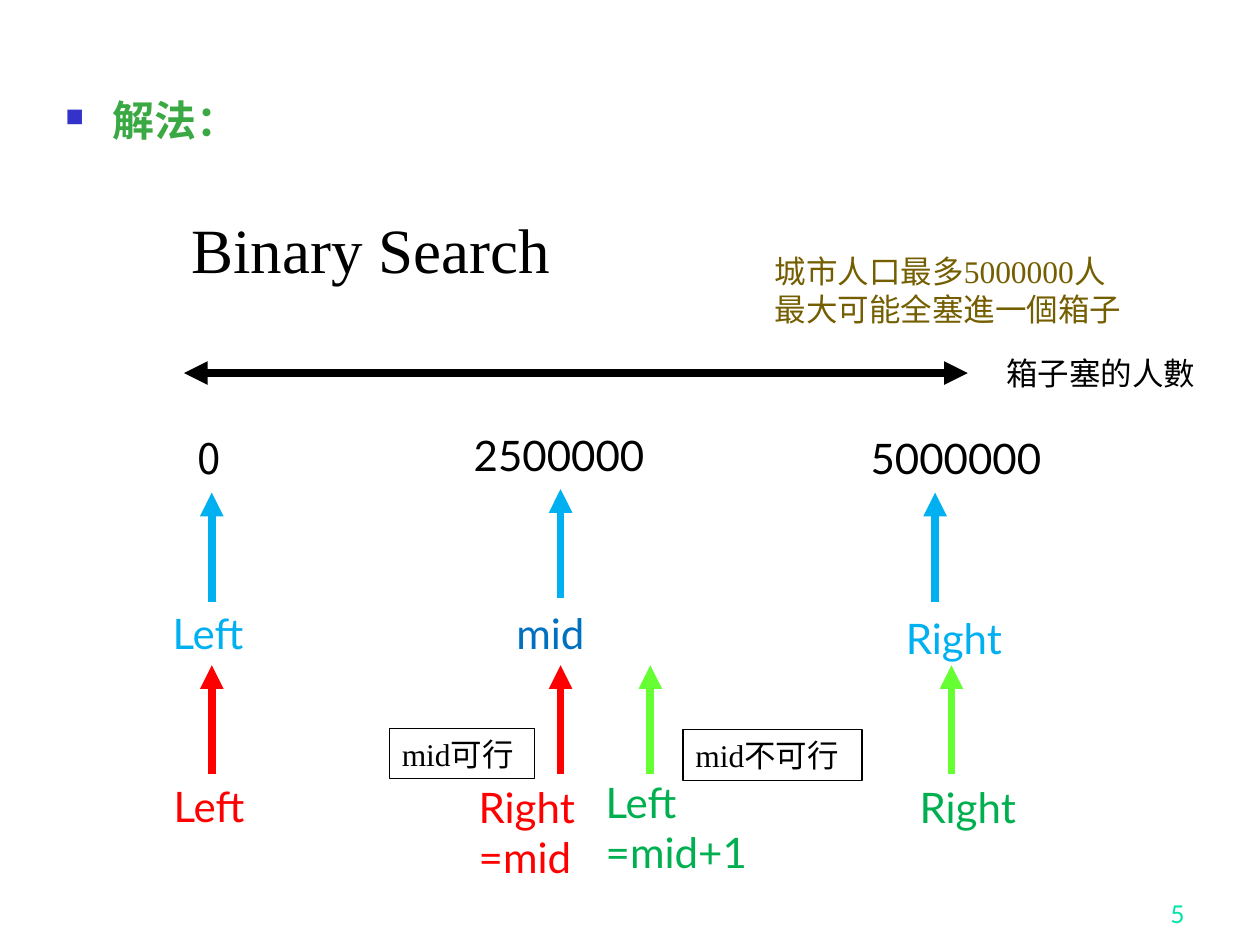
from lxml import etree
from pptx import Presentation
from pptx import util as u
from pptx.dml.color import RGBColor
from pptx.enum import shapes, text
from pptx.oxml import ns

BLACK = RGBColor(0x00, 0x00, 0x00)
SKY = RGBColor(0x00, 0xB0, 0xF0)
BLUE = RGBColor(0x00, 0x70, 0xC0)
RED = RGBColor(0xFF, 0x00, 0x00)
LIME = RGBColor(0x66, 0xFF, 0x33)
GREEN = RGBColor(0x00, 0xB0, 0x50)
LEAF = RGBColor(0x3B, 0xA9, 0x43)
OLIVE = RGBColor(0x74, 0x5E, 0x00)
MINT = RGBColor(0x00, 0xE4, 0xA8)
BULLET = RGBColor(0x33, 0x33, 0xCC)

SERIF = "Times New Roman"
SANS = "Lato"
CJK = "Noto Sans CJK SC"


def add_element(parent, tag, **attributes):
    return etree.SubElement(parent, ns.qn(tag), attributes)


class SlideBuilder:
    def __init__(self, slide):
        self.slide = slide

    def set_text(self, shape, content, size, color, font, bold=False):
        frame = shape.text_frame
        frame.word_wrap = True
        frame.auto_size = text.MSO_AUTO_SIZE.SHAPE_TO_FIT_TEXT
        frame.text = content
        for para in frame.paragraphs:
            para.alignment = text.PP_ALIGN.LEFT
            for span in para.runs:
                span.font.name = font
                span.font.size = u.Pt(size)
                span.font.bold = bold
                span.font.color.rgb = color
                add_element(span._r.get_or_add_rPr(), "a:ea", typeface=CJK)
        return shape

    def label(self, content, left, top, width, height=1.27, size=24,
              color=BLACK, font=SANS, bold=False):
        box = self.slide.shapes.add_textbox(
            u.Cm(left), u.Cm(top), u.Cm(width), u.Cm(height))
        return self.set_text(box, content, size, color, font, bold)

    def bullet(self, content, left, top, width):
        box = self.label(content, left, top, width, color=LEAF, font=SERIF, bold=True)
        para = box.text_frame.paragraphs[0]
        props = para._p.get_or_add_pPr()
        props.set("marL", str(u.Cm(0.95)))
        props.set("indent", str(u.Cm(-0.95)))
        tint = add_element(props, "a:buClr")
        add_element(tint, "a:srgbClr", val=str(BULLET))
        add_element(props, "a:buSzPct", val="60000")
        add_element(props, "a:buChar", char="■")
        para.line_spacing = 0.9

    def page_number(self, content, left, top, width):
        box = self.label(content, left, top, width, size=14, color=MINT)
        frame = box.text_frame
        frame.auto_size = text.MSO_AUTO_SIZE.NONE
        frame.vertical_anchor = text.MSO_ANCHOR.BOTTOM
        frame.paragraphs[0].alignment = text.PP_ALIGN.RIGHT

    def framed(self, content, left, top, width):
        box = self.slide.shapes.add_shape(
            shapes.MSO_SHAPE.RECTANGLE, u.Cm(left), u.Cm(top), u.Cm(width), u.Cm(1.02))
        box.shadow.inherit = False
        box.fill.background()
        box.line.color.rgb = BLACK
        box.line.width = u.Pt(0.75)
        self.set_text(box, content, 18, BLACK, SERIF)

    def arrow(self, start, end, color, both_ends=False):
        connector = self.slide.shapes.add_connector(
            shapes.MSO_CONNECTOR.STRAIGHT, *(u.Cm(value) for value in (*start, *end)))
        connector.line.color.rgb = color
        connector.line.width = u.Pt(4.5)
        props = connector._element.spPr
        stroke = props.find(ns.qn("a:ln"))
        if both_ends:
            add_element(stroke, "a:headEnd", type="triangle")
        add_element(stroke, "a:tailEnd", type="triangle")
        add_element(props, "a:effectLst")

    def pointer(self, x, tip, color):
        self.arrow((x, tip + 2.2), (x, tip), color)


def main():
    deck = Presentation()
    deck.slide_width, deck.slide_height = u.Cm(25.4), u.Cm(19.05)
    page = SlideBuilder(deck.slides.add_slide(deck.slide_layouts[6]))

    page.page_number("5", 18.85, 17.58, 5.28)
    page.bullet("解法：", 1.07, 1.9, 22.63)
    page.label("Binary Search", 3.61, 4.11, 10, 1.7, size=36, font=SERIF)
    page.label("城市人口最多5000000人\n最大可能全塞進一個箱子", 15.37, 4.95, 7.75, 1.8,
               size=18, color=OLIVE, font=SERIF)

    page.arrow((3.71, 7.52), (19.51, 7.52), BLACK, both_ends=True)
    page.label("箱子塞的人數", 20.04, 7.01, 5.2, 1.02, size=18, font=CJK)
    page.label("0", 3.73, 8.59, 1.2, font=CJK)
    page.label("2500000", 9.3, 8.53, 4.6)
    page.label("5000000", 17.3, 8.59, 6.17)

    for x, tip, color in (
        (4.27, 9.93, SKY), (11.3, 9.86, SKY), (18.85, 9.93, SKY),
        (4.27, 13.41, RED), (11.3, 13.41, RED),
        (13.11, 13.41, LIME), (19.18, 13.41, LIME),
    ):
        page.pointer(x, tip, color)

    for content, left, top, width, color in (
        ("Left", 3.23, 12.12, 2.21, SKY),
        ("mid", 10.16, 12.12, 3.3, BLUE),
        ("Right", 18.01, 12.22, 3.3, SKY),
        ("Left", 3.25, 15.6, 4.6, RED),
        ("Right\n=mid", 9.4, 15.62, 3, RED),
        ("Left\n=mid+1", 11.96, 15.52, 4.14, GREEN),
        ("Right", 18.29, 15.62, 3, GREEN),
    ):
        height = 1.27 * len(content.splitlines())
        page.label(content, left, top, width, height, color=color)

    page.framed("mid可行", 7.85, 14.68, 2.92)
    page.framed("mid不可行", 13.77, 14.71, 3.61)
    deck.save("out.pptx")


if __name__ == "__main__":
    main()
